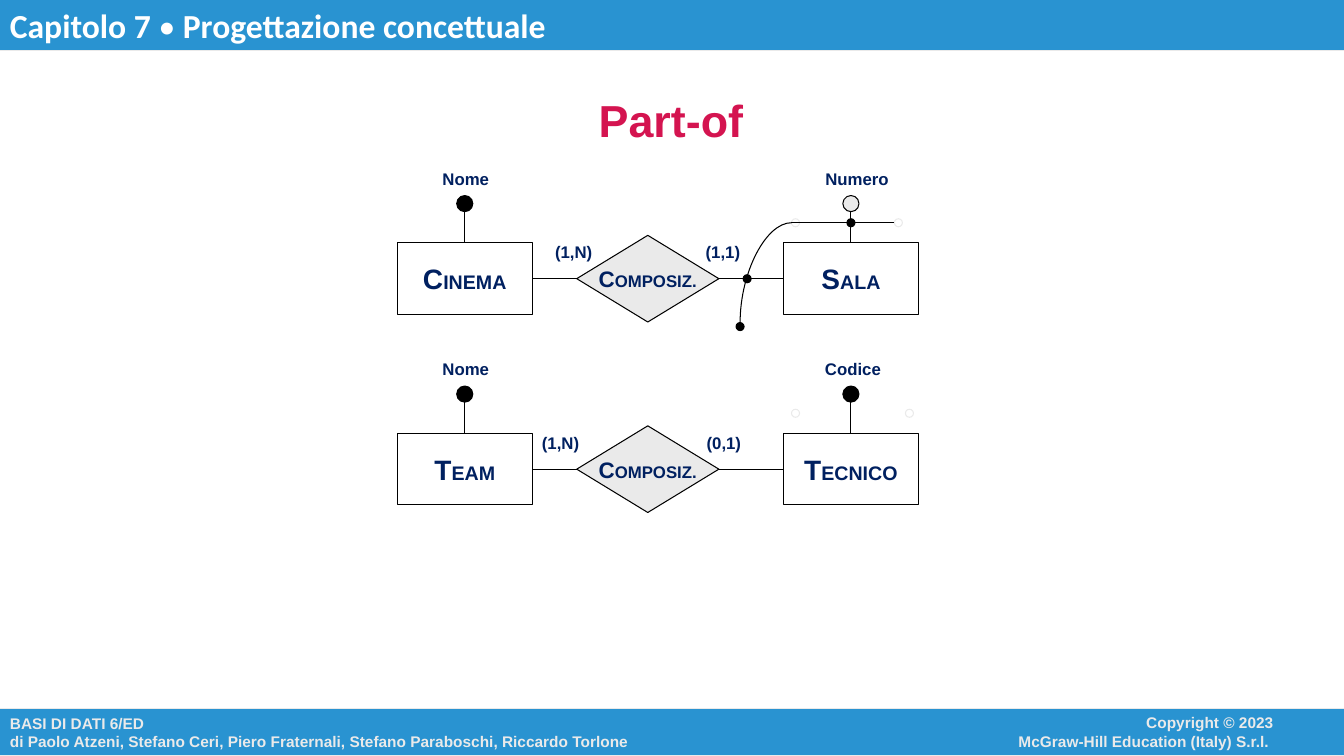
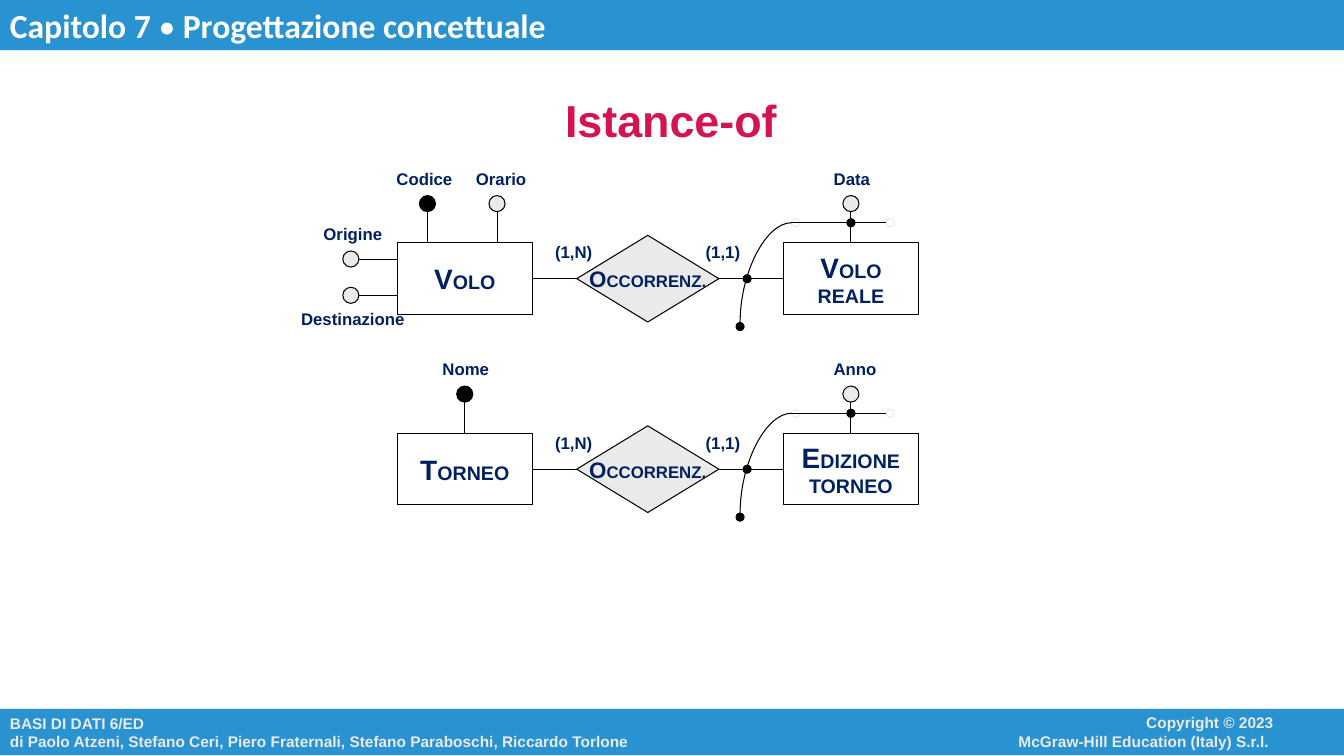
"""Two slides of entity-relationship patterns: part-of and instance-of."""
from lxml import etree
from pptx import Presentation
from pptx.dml.color import RGBColor
from pptx.enum.shapes import MSO_CONNECTOR, MSO_SHAPE
from pptx.enum.text import MSO_ANCHOR, PP_ALIGN
from pptx.oxml.ns import qn
from pptx.util import Inches, Pt

RECT, DIAMOND, OVAL = MSO_SHAPE.RECTANGLE, MSO_SHAPE.DIAMOND, MSO_SHAPE.OVAL
STRAIGHT, CURVE = MSO_CONNECTOR.STRAIGHT, MSO_CONNECTOR.CURVE
TOP, MIDDLE = MSO_ANCHOR.TOP, MSO_ANCHOR.MIDDLE
LEFT, CENTER, RIGHT = PP_ALIGN.LEFT, PP_ALIGN.CENTER, PP_ALIGN.RIGHT

BLUE = RGBColor(0x29, 0x93, 0xD1)
GREY = RGBColor(0xEA, 0xEA, 0xEA)
CRIMSON = RGBColor(0xD4, 0x14, 0x50)
NAVY = RGBColor(0x00, 0x20, 0x60)
BLACK = RGBColor(0, 0, 0)
WHITE = RGBColor(0xFF, 0xFF, 0xFF)

HEADER = [[("Capitolo 7 ", 24, True), ("•", 24, False),
           (" Progettazione concettuale", 24, True)]]
BOOK = ["BASI DI DATI 6/ED",
        "di Paolo Atzeni, Stefano Ceri, Piero Fraternali, Stefano Paraboschi, Riccardo Torlone"]
COPYRIGHT = ["Copyright © 2023", "McGraw-Hill Education (Italy) S.r.l. "]

# Attributes above an entity: name, label centre, is key, circle centre (None: entity middle)
# Attributes beside an entity: name, label offset, circle offset
NOME = [("Nome", 4.62, True, None)]
SLIDES = [
    ("Part-of", [
        {"whole": ["CINEMA"], "part": ["SALA"], "relation": ["COMPOSIZ."],
         "whole_attrs": NOME, "part_attrs": [("Numero", 8.5, False, None)],
         "cards": [("(1,N)", 5.69), ("(1,1)", 7.17)], "guide_end": 8.91, "external": True},
        {"whole": ["TEAM"], "part": ["TECNICO"], "relation": ["COMPOSIZ."],
         "whole_attrs": NOME, "part_attrs": [("Codice", 8.46, True, None)],
         "cards": [("(1,N)", 5.56), ("(0,1)", 7.18)], "guide_end": 9.02, "external": False},
    ]),
    ("Istance-of", [
        {"whole": ["VOLO"], "part": ["VOLO", "REALE"], "relation": ["OCCORRENZ."],
         "whole_attrs": [("Codice", 4.21, True, 4.24), ("Orario", 4.97, False, 4.93)],
         "side_attrs": [("Origine", -0.24, 0.16), ("Destinazione", 0.6, 0.52)],
         "part_attrs": [("Data", 8.45, False, None)],
         "cards": [("(1,N)", 5.69), ("(1,1)", 7.17)], "guide_end": 8.83, "external": True},
        {"whole": ["TORNEO"], "part": ["EDIZIONE", "TORNEO"], "relation": ["OCCORRENZ."],
         "whole_attrs": NOME, "part_attrs": [("Anno", 8.48, False, None)],
         "cards": [("(1,N)", 5.69), ("(1,1)", 7.17)], "guide_end": 8.83, "external": True},
    ]),
]

ROW_TOP, ROW_STEP = 2.41, 1.89
ENTITY_W, ENTITY_H = 1.34, 0.71
WHOLE_X, PART_X = 3.94, 7.77
DIAMOND_X, DIAMOND_W, DIAMOND_H = 5.72, 1.41, 0.86
SIDE_X, GUIDE_X, ARC_X, CROSS_X = 3.48, 7.89, 7.34, 7.41
ATTR_SIZE, DOT_SIZE = 0.16, 0.08
LABEL_W, LABEL_H = 1.3, 0.3


def plain(lines, size):
    return [[(line, size, True)] for line in lines]


def small_caps(lines, big, small):
    first, *rest = lines
    return [[(first[0], big, True), (first[1:], small, True)]] + plain(rest, small)


def write(sp, paragraphs, color, align=LEFT, anchor=TOP, wrap=True, font="Arial"):
    tf = sp.text_frame
    tf.word_wrap = wrap
    tf.vertical_anchor = anchor
    for i, runs in enumerate(paragraphs):
        p = tf.add_paragraph() if i else tf.paragraphs[0]
        p.alignment = align
        for text, size, bold in runs:
            r = p.add_run()
            r.text = text
            r.font.name, r.font.size, r.font.bold = font, Pt(size), bold
            r.font.color.rgb = color


def add_box(slide, kind, x, y, w, h, fill=None, line=BLACK):
    sp = slide.shapes.add_shape(kind, Inches(x), Inches(y), Inches(w), Inches(h))
    sp.shadow.inherit = False
    if fill is None:
        sp.fill.background()
    else:
        sp.fill.solid()
        sp.fill.fore_color.rgb = fill
    sp.line.color.rgb = line
    sp.line.width = Pt(0.75)
    return sp


def add_text(slide, x, y, w, h, *args, **kwargs):
    sp = slide.shapes.add_textbox(Inches(x), Inches(y), Inches(w), Inches(h))
    write(sp, *args, **kwargs)


def add_circle(slide, cx, cy, size, fill=BLACK, line=BLACK):
    add_box(slide, OVAL, cx - size / 2, cy - size / 2, size, size, fill, line)


def add_label(slide, text, cx, y):
    add_text(slide, cx - LABEL_W / 2, y, LABEL_W, LABEL_H, plain([text], 12), NAVY,
             align=CENTER, wrap=False)


def add_line(slide, x1, y1, x2, y2, kind=STRAIGHT):
    line = slide.shapes.add_connector(kind, Inches(x1), Inches(y1), Inches(x2), Inches(y2))
    line.line.color.rgb = BLACK
    line.line.width = Pt(0.75)
    etree.SubElement(line._element.spPr, qn("a:effectLst"))
    return line


def add_arc(slide, x1, y1, x2, y2):
    cx, cy = (x1 + x2) / 2, (y1 + y2) / 2
    half_w, half_h = (y1 - y2) / 2, (x2 - x1) / 2
    arc = add_line(slide, cx + half_w, cy + half_h, cx - half_w, cy - half_h, CURVE)
    spPr = arc._element.spPr
    spPr.find(qn("a:xfrm")).set("rot", "5400000")
    spPr.find(qn("a:prstGeom")).set("prst", "curvedConnector2")


def add_entity(slide, x, top, name, attrs):
    entity = add_box(slide, RECT, x, top, ENTITY_W, ENTITY_H)
    write(entity, small_caps(name, 20, 14), NAVY, CENTER, MIDDLE, wrap=False)
    for text, label_cx, is_key, circle_cx in attrs:
        cx = circle_cx or x + ENTITY_W / 2
        cy = top - 0.39
        line = add_line(slide, cx, cy + ATTR_SIZE / 2, cx, top)
        if circle_cx is None:
            line.end_connect(entity, 0)
        add_circle(slide, cx, cy, ATTR_SIZE, BLACK if is_key else GREY)
        add_label(slide, text, label_cx, top - 0.79)
    return entity


def add_relation(slide, top, row):
    mid, guide_y = top + ENTITY_H / 2, top - 0.2
    whole = add_entity(slide, WHOLE_X, top, row["whole"], row["whole_attrs"])
    part = add_entity(slide, PART_X, top, row["part"], row["part_attrs"])
    diamond = add_box(slide, DIAMOND, DIAMOND_X, mid - DIAMOND_H / 2, DIAMOND_W, DIAMOND_H, GREY)
    write(diamond, small_caps(row["relation"], 16, 12), NAVY, CENTER, MIDDLE, wrap=False)
    for entity, diamond_side, entity_side in [(whole, 1, 3), (part, 3, 1)]:
        line = add_line(slide, DIAMOND_X, mid, DIAMOND_X, mid)
        line.begin_connect(diamond, diamond_side)
        line.end_connect(entity, entity_side)
    for text, cx in row["cards"]:
        add_label(slide, text, cx, top - 0.06)
    for text, label_dy, circle_dy in row.get("side_attrs", []):
        cy = top + circle_dy
        add_line(slide, SIDE_X + ATTR_SIZE / 2, cy, WHOLE_X, cy)
        add_circle(slide, SIDE_X, cy, ATTR_SIZE, GREY)
        add_label(slide, text, 3.5, top + label_dy)
    for cx in (GUIDE_X, row["guide_end"]):
        add_circle(slide, cx, guide_y, DOT_SIZE, None, GREY)
    if row["external"]:
        guide_left = GUIDE_X - DOT_SIZE / 2
        add_arc(slide, ARC_X, top + 0.79, guide_left, guide_y)
        add_line(slide, guide_left, guide_y, row["guide_end"] - DOT_SIZE / 2, guide_y)
        for cx, cy in [(ARC_X, top + 0.83), (CROSS_X, mid), (PART_X + ENTITY_W / 2, guide_y)]:
            add_circle(slide, cx, cy, DOT_SIZE)


def add_frame(slide, title):
    footer = add_box(slide, RECT, 0, 7.03, 13.34, 0.47, BLUE, GREY)
    write(footer, plain(BOOK, 11), GREY, anchor=MIDDLE)
    add_text(slide, 8.89, 7.03, 3.84, 0.46, plain(COPYRIGHT, 11), GREY, align=RIGHT)
    header = add_box(slide, RECT, 0, 0, 13.34, 0.5, BLUE, GREY)
    header.line.width = Pt(0)
    write(header, HEADER, WHITE, font="Calibri")
    add_text(slide, 1.55, 0.99, 10.21, 0.39, plain([title], 32), CRIMSON,
             align=CENTER, anchor=MIDDLE)


def main():
    prs = Presentation()
    prs.slide_width, prs.slide_height = Inches(13.33), Inches(7.5)
    for title, rows in SLIDES:
        slide = prs.slides.add_slide(prs.slide_layouts[6])
        add_frame(slide, title)
        for i, row in enumerate(rows):
            add_relation(slide, ROW_TOP + i * ROW_STEP, row)
    prs.save("out.pptx")


if __name__ == "__main__":
    main()
